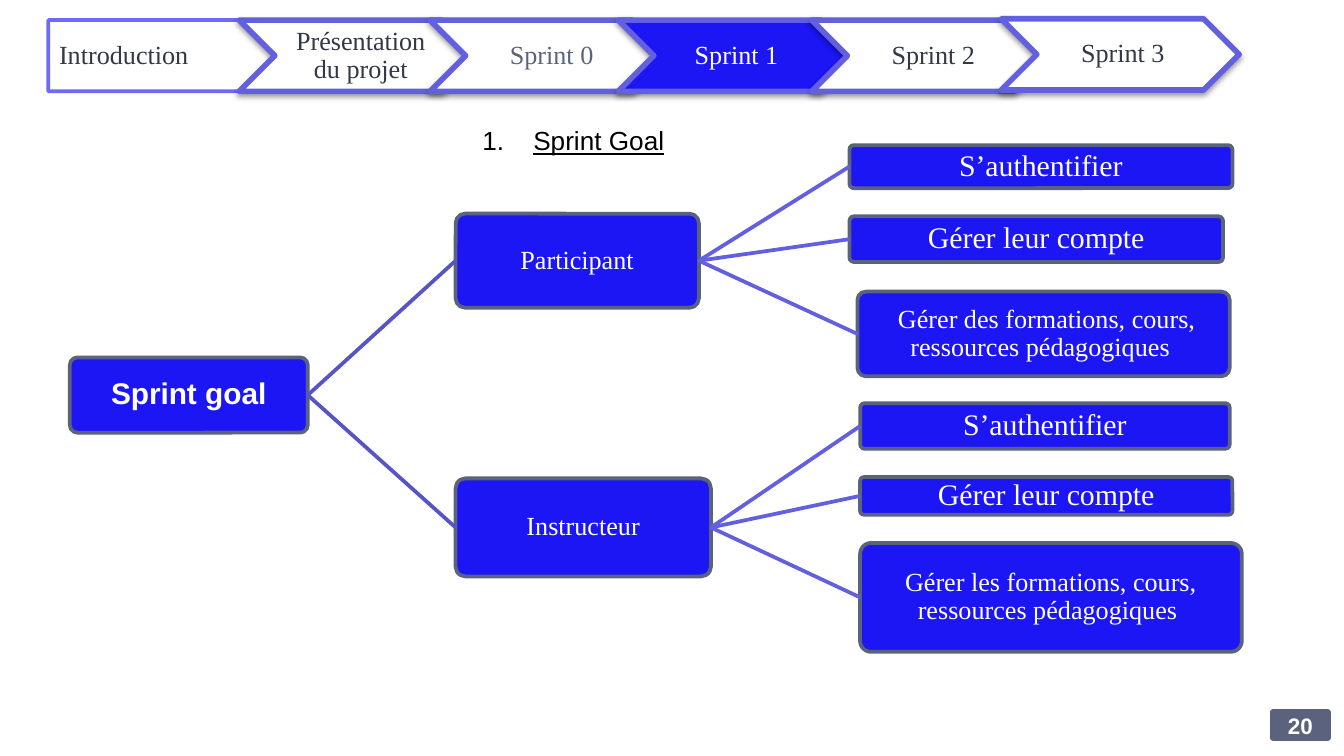
"""Build the Sprint 1 goal slide: progress chevrons above a tree of user goals."""
import pptx
import pptx.util
import pptx.dml.color
import pptx.enum.shapes
import pptx.enum.text
import pptx.oxml
import pptx.oxml.ns

Inches = pptx.util.Inches
SHAPES = pptx.enum.shapes.MSO_SHAPE
ALIGN = pptx.enum.text.PP_ALIGN
SERIF, SANS = "Times New Roman", "Arial"
COLORS = {
    "white": "FFFFFF", "black": "000000", "ink": "333746", "slate": "5B627D",
    "blue": "1B16F3", "violet": "6360E0", "light_violet": "6D6AF7", "deep_violet": "5755C6",
}

STEP_SIZE = (1.77, 0.53)
STEPS = [
    ("Présentation du projet", 1.78, 0.15, "white", "ink"),
    ("Sprint 0", 3.2, 0.15, "white", "slate"),
    ("Sprint 1 ", 4.6, 0.15, "blue", "white"),
    ("Sprint 2", 6.04, 0.15, "white", "ink"),
    ("Sprint 3", 7.45, 0.14, "white", "ink"),
]
ROOT = ("Sprint goal", (0.52, 2.66, 1.77, 0.56), 16)
BRANCHES = [
    (("Participant", (3.39, 1.59, 1.81, 0.7), 14), [
        ("S’authentifier", (6.32, 1.08, 2.85, 0.32), 16),
        ("Gérer leur compte", (6.32, 1.61, 2.78, 0.34), 16),
        (" Gérer des formations, cours, ressources pédagogiques ", (6.38, 2.17, 2.77, 0.63), 14),
    ]),
    (("Instructeur", (3.39, 3.56, 1.9, 0.73), 14), [
        ("S’authentifier", (6.4, 3, 2.75, 0.34), 16),
        ("Gérer leur compte", (6.4, 3.55, 2.77, 0.28), 16),
        ("Gérer les formations, cours, ressources pédagogiques ", (6.4, 4.04, 2.84, 0.81), 14),
    ]),
]


def rgb(name):
    return pptx.dml.color.RGBColor.from_string(COLORS[name])


def make_element(xml):
    namespace = pptx.oxml.ns.nsdecls("a")
    return pptx.oxml.parse_xml(xml.replace(" ", f" {namespace} ", 1))


def write(paragraph, text, size, color, font=SERIF, bold=False):
    run = paragraph.add_run()
    run.text = text
    run.font.size = pptx.util.Pt(size)
    run.font.name = font
    run.font.bold = bold
    run.font.color.rgb = rgb(color)
    return run


def add_box(slide, kind, box, fill, line, width, insets, align=ALIGN.CENTER):
    shape = slide.shapes.add_shape(kind, *map(Inches, box))
    shape.shadow.inherit = False
    shape.fill.solid()
    shape.fill.fore_color.rgb = rgb(fill)
    shape.line.color.rgb = rgb(line)
    shape.line.width = pptx.util.Pt(width)
    frame = shape.text_frame
    frame.word_wrap = True
    frame.vertical_anchor = pptx.enum.text.MSO_ANCHOR.MIDDLE
    frame.margin_left, frame.margin_top, frame.margin_right, frame.margin_bottom = map(Inches, insets)
    frame.paragraphs[0].alignment = align
    frame.paragraphs[0].line_spacing = 0.9
    return shape


def add_shadow(shape):
    effects = shape._element.spPr.find(pptx.oxml.ns.qn("a:effectLst"))
    effects.append(make_element(
        '<a:outerShdw blurRad="40000" dist="20000" dir="5400000" rotWithShape="0">'
        f'<a:srgbClr val="{COLORS["black"]}"><a:alpha val="38000"/></a:srgbClr></a:outerShdw>'))


def add_steps(slide):
    first = add_box(slide, SHAPES.PENTAGON, (0.36, 0.15, *STEP_SIZE), "white", "light_violet", 2,
                    (0.08, 0.04, 0.02, 0.04), ALIGN.LEFT)
    write(first.text_frame.paragraphs[0], "Introduction", 14, "ink")
    for text, left, top, fill, color in STEPS:
        step = add_box(slide, SHAPES.CHEVRON, (left, top, *STEP_SIZE), fill, "violet", 3,
                       (0.06, 0.04, 0.02, 0.04))
        add_shadow(step)
        write(step.text_frame.paragraphs[0], text, 14, color)


def add_node(slide, node, font=SERIF, bold=False):
    text, box, size = node
    shape = add_box(slide, SHAPES.ROUNDED_RECTANGLE, box, "blue", "slate", 2, (0.01,) * 4)
    shape.adjustments[0] = 0.1
    write(shape.text_frame.paragraphs[0], text, size, "white", font, bold)
    return shape


def link(slide, parent, child, color):
    connector = slide.shapes.add_connector(pptx.enum.shapes.MSO_CONNECTOR.STRAIGHT, 0, 0, 0, 0)
    connector.begin_connect(parent, 3)
    connector.end_connect(child, 1)
    connector.line.color.rgb = rgb(color)
    connector.line.width = pptx.util.Pt(2)
    connector._element.spPr.append(make_element("<a:effectLst />"))


def add_tree(slide):
    root = add_node(slide, ROOT, SANS, True)
    for actor, goals in BRANCHES:
        branch = add_node(slide, actor)
        link(slide, root, branch, "deep_violet")
        for goal in goals:
            link(slide, branch, add_node(slide, goal), "violet")


def add_heading(slide):
    heading = slide.shapes.add_textbox(*map(Inches, (3.49, 0.88, 1.56, 0.34)))
    heading.text_frame.word_wrap = False
    paragraph = heading.text_frame.paragraphs[0]
    properties = paragraph._p.get_or_add_pPr()
    properties.set("marL", str(Inches(0.38)))
    properties.set("indent", str(-Inches(0.38)))
    for xml in (f'<a:buClr ><a:srgbClr val="{COLORS["black"]}"/></a:buClr>',
                f'<a:buFont typeface="{SANS}"/>',
                '<a:buAutoNum type="arabicPeriod"/>'):
        properties.append(make_element(xml))
    write(paragraph, "Sprint Goal", 14, "black", SANS).font.underline = True


def main():
    presentation = pptx.Presentation()
    presentation.slide_width = Inches(10)
    presentation.slide_height = presentation.slide_width * 9 // 16
    slide = presentation.slides.add_slide(presentation.slide_layouts[6])
    number = add_box(slide, SHAPES.RECTANGLE, (9.47, 5.3, 0.41, 0.19), "slate", "slate", 3, (0.1,) * 4)
    number.text_frame.paragraphs[0].line_spacing = 1.0
    write(number.text_frame.paragraphs[0], "20", 12, "white", SANS, True)
    add_steps(slide)
    add_tree(slide)
    add_heading(slide)
    presentation.save("out.pptx")


if __name__ == "__main__":
    main()
